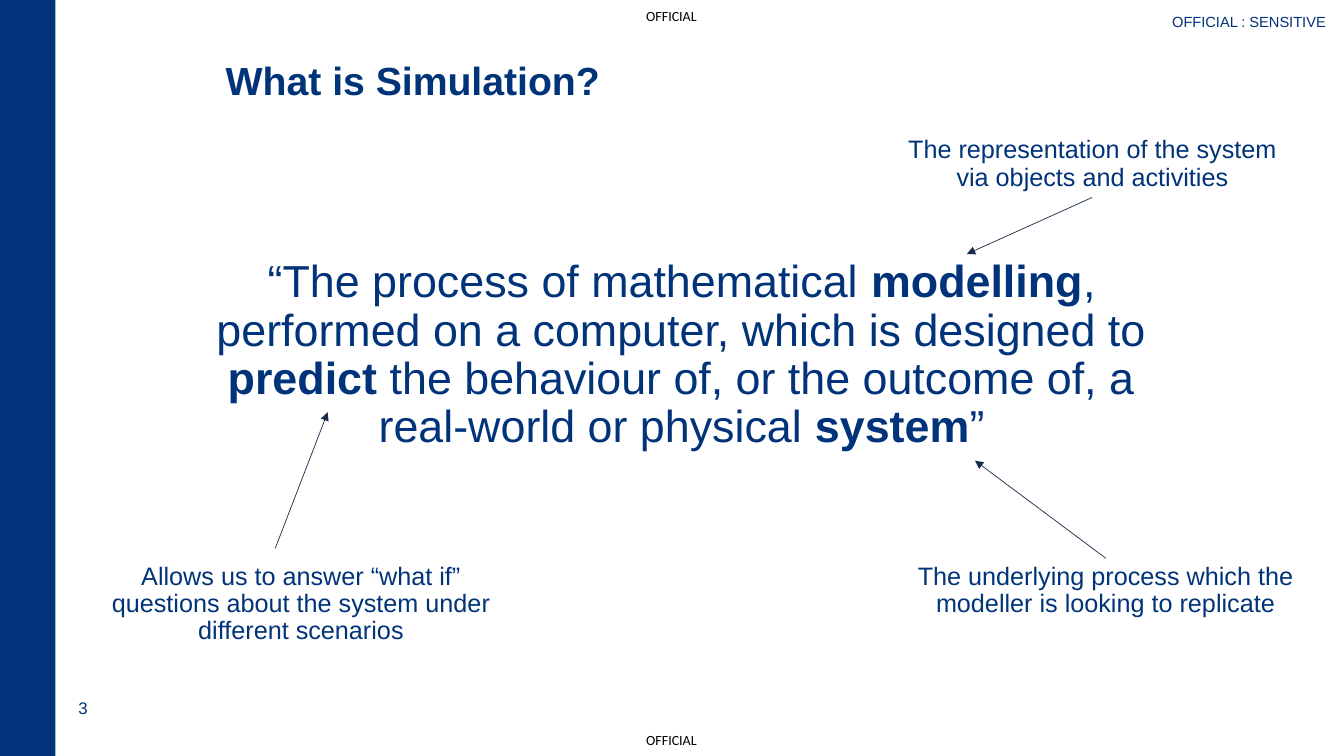
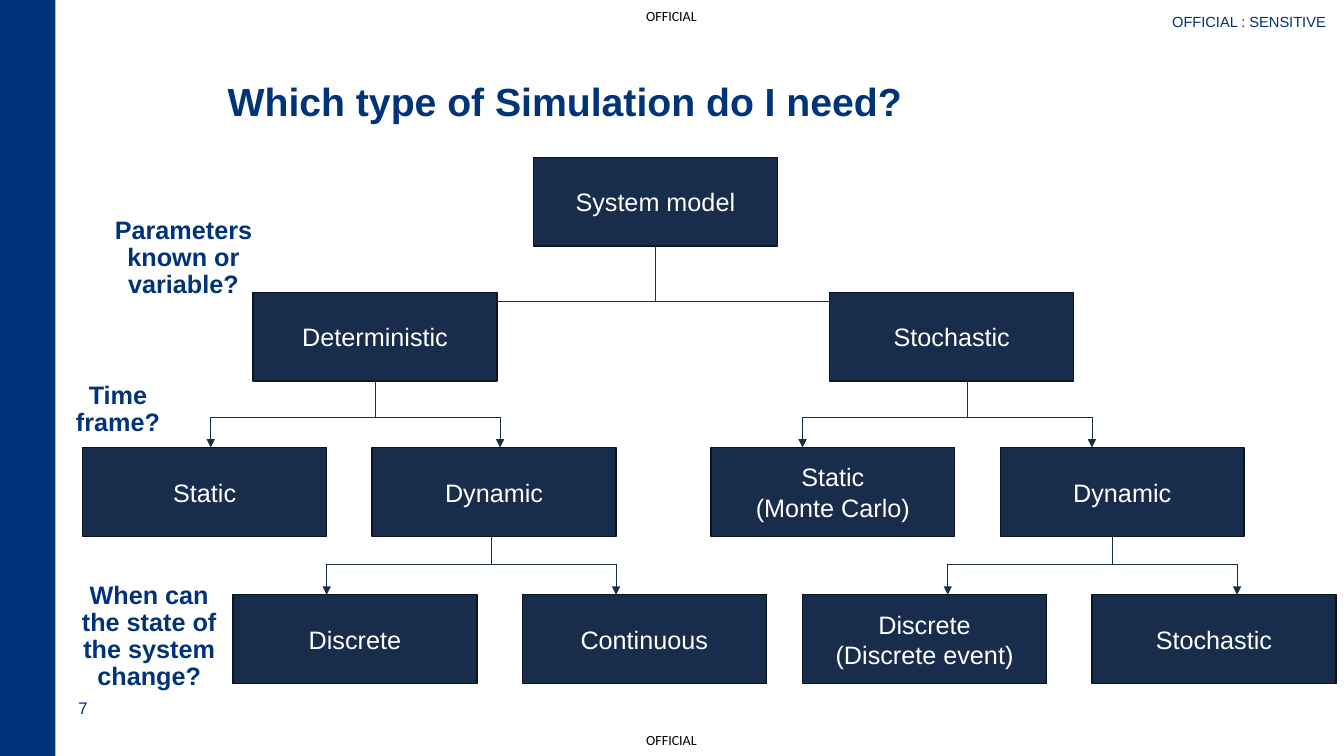
"""Build two slides that introduce simulation and the choice of simulation type."""
import pptx
import pptx.dml.color
import pptx.enum.shapes
import pptx.enum.text
import pptx.oxml
import pptx.oxml.ns
import pptx.util

Inches = pptx.util.Inches
Pt = pptx.util.Pt
RGBColor = pptx.dml.color.RGBColor
ALIGN = pptx.enum.text.PP_ALIGN
ANCHOR = pptx.enum.text.MSO_ANCHOR
SHAPE = pptx.enum.shapes.MSO_SHAPE
CONNECTOR = pptx.enum.shapes.MSO_CONNECTOR

BLUE = RGBColor(0x00, 0x33, 0x79)
TITLE_BLUE = RGBColor(0x00, 0x34, 0x79)
NAVY = RGBColor(0x18, 0x2D, 0x4C)
BOX_EDGE = RGBColor(0x0B, 0x14, 0x21)
WHITE = RGBColor(0xFF, 0xFF, 0xFF)
BLACK = RGBColor(0x00, 0x00, 0x00)

BOX_WIDTH, BOX_HEIGHT = 2.42, 0.88
LEVEL_TOPS = (1.56, 2.9, 4.44, 5.9)
BRANCH_SPAN = 2.87
STEM_OFFSET = 1.63
STEM_LENGTH = 0.36
ARROW_LENGTH = 0.3


def add_run(paragraph, text, size, color, bold=False, font="Arial"):
    run = paragraph.add_run()
    run.text = text
    run.font.name = font
    run.font.size = Pt(size)
    run.font.color.rgb = color
    run.font.bold = bold


def add_text(slide, place, runs, size, color=BLUE, align=ALIGN.LEFT,
             anchor=ANCHOR.TOP, font="Arial", spacing=None, before=None):
    shape = slide.shapes.add_textbox(*map(Inches, place))
    frame = shape.text_frame
    frame.word_wrap = True
    frame.vertical_anchor = anchor
    paragraph = frame.paragraphs[0]
    paragraph.alignment = align
    if spacing:
        paragraph.line_spacing = spacing
    if before:
        paragraph.space_before = Pt(before)
    for text, bold in runs:
        add_run(paragraph, text, size, color, bold, font)
    return frame


def add_centred(slide, place, runs, size=18):
    add_text(slide, place, runs, size, align=ALIGN.CENTER, spacing=0.9, before=10)


def add_marking(slide, top):
    frame = add_text(slide, (6.41, top, 0.53, 0.17), [("OFFICIAL", False)], 10,
                     BLACK, font="Calibri")
    frame.word_wrap = False
    frame.margin_left = frame.margin_right = 0
    frame.margin_top = frame.margin_bottom = 0


def add_rectangle(slide, place, fill):
    shape = slide.shapes.add_shape(SHAPE.RECTANGLE, *map(Inches, place))
    shape.shadow.inherit = False
    shape.fill.solid()
    shape.fill.fore_color.rgb = fill
    shape.line.fill.background()
    return shape


def add_slide(presentation, number, title, title_place):
    slide = presentation.slides.add_slide(presentation.slide_layouts[6])
    for top in (0.07, 7.26):
        add_marking(slide, top)
    add_rectangle(slide, (0, 0, 0.55, 7.5), BLUE)
    add_text(slide, (0.68, 6.87, 1.87, 0.3), [(number, False)], 12)
    add_text(slide, title_place, [(title, True)], 28, TITLE_BLUE,
             anchor=ANCHOR.BOTTOM, spacing=0.9)
    add_text(slide, (10.97, 0.08, 2.28, 0.24), [("OFFICIAL : SENSITIVE", False)],
             10.5, align=ALIGN.RIGHT)
    return slide


def add_line(slide, start, end, arrow=False):
    line = slide.shapes.add_connector(CONNECTOR.STRAIGHT, *map(Inches, start + end))
    line.line.color.rgb = NAVY
    line.line.width = Pt(0.5)
    if arrow:
        tail = pptx.oxml.parse_xml(
            f'<a:tailEnd {pptx.oxml.ns.nsdecls("a")} type="triangle"/>')
        line.line._get_or_add_ln().append(tail)
    effects = pptx.oxml.parse_xml(f'<a:effectLst {pptx.oxml.ns.nsdecls("a")}/>')
    line._element.spPr.append(effects)
    return line


def add_box(slide, level, left, labels):
    shape = add_rectangle(
        slide, (left, LEVEL_TOPS[level], BOX_WIDTH, BOX_HEIGHT), NAVY)
    shape.line.color.rgb = BOX_EDGE
    shape.line.width = Pt(1)
    frame = shape.text_frame
    frame.word_wrap = True
    frame.vertical_anchor = ANCHOR.MIDDLE
    for index, label in enumerate(labels):
        paragraph = frame.add_paragraph() if index else frame.paragraphs[0]
        paragraph.alignment = ALIGN.CENTER
        add_run(paragraph, label, 18, WHITE)
    return shape


def add_branch(slide, stem, bar, left, right, tip):
    """Draw a stem down to a bar with an arrow at each end and return the stem."""
    stem_line = add_line(slide, stem, (stem[0], bar))
    add_line(slide, (right, bar), (left, bar))
    for x in (left, right):
        add_line(slide, (x, bar), (x, tip), arrow=True)
    return stem_line


def add_level_branch(slide, level, left):
    tip = LEVEL_TOPS[level]
    bar = tip - ARROW_LENGTH
    stem = (left + STEM_OFFSET, bar - STEM_LENGTH)
    return add_branch(slide, stem, bar, left, left + BRANCH_SPAN, tip)


def build_definition(presentation):
    slide = add_slide(presentation, "3", "What is Simulation?", (2.14, 0.2, 7.45, 0.88))
    quote = [
        ("“The process of mathematical ", False),
        ("modelling", True),
        (", performed on a computer, which is designed to ", False),
        ("predict", True),
        (" the behaviour of, or the outcome of, a real-world or physical ", False),
        ("system", True),
        ("”", False),
    ]
    add_centred(slide, (2.02, 2.52, 9.48, 2.24), quote, 32)
    notes = [
        (8.77, 1.31, 0.65, "The representation of the system via objects and activities",
         (10.83, 1.96), (9.59, 2.52)),
        (8.9, 5.54, 0.65,
         "The underlying process which the modeller is looking to replicate",
         (10.97, 5.54), (9.67, 4.57)),
        (0.92, 5.54, 0.92,
         "Allows us to answer “what if” questions about the system under "
         "different scenarios",
         (2.73, 5.44), (3.25, 4.09)),
    ]
    for left, top, height, text, start, end in notes:
        add_centred(slide, (left, top, 4.13, height), [(text, False)])
        add_line(slide, start, end, arrow=True)


def build_decision_tree(presentation):
    slide = add_slide(presentation, "7", "Which type of Simulation do I need?",
                      (2.16, 0.41, 11.33, 0.88))
    system_model = add_box(slide, 0, 5.29, ["System model"])
    deterministic = add_box(slide, 1, 2.51, ["Deterministic"])
    add_box(slide, 1, 8.23, ["Stochastic"])
    pairs = [
        (2, 0.82, ["Static"], ["Dynamic"]),
        (3, 2.31, ["Discrete"], ["Continuous"]),
        (2, 7.05, ["Static", "(Monte Carlo)"], ["Dynamic"]),
        (3, 7.96, ["Discrete", "(Discrete event)"], ["Stochastic"]),
    ]
    for level, left, first, second in pairs:
        add_box(slide, level, left, first)
        add_box(slide, level, left + BRANCH_SPAN, second)

    root_stem = add_branch(slide, (6.5, 2.44), 2.99, 3.83, 9.33, 3.22)
    root_stem.begin_connect(system_model, 2)
    deterministic_stem = add_level_branch(slide, 2, 2.09)
    deterministic_stem.begin_connect(deterministic, 2)
    for level, left in ((2, 7.96), (3, 3.24), (3, 9.4)):
        add_level_branch(slide, level, left)

    questions = [
        (0.99, 2.11, 0.92, "Parameters known or variable?"),
        (0.34, 3.75, 0.65, "Time frame?"),
        (0.65, 5.73, 1.19, "When can the state of the system change?"),
    ]
    for left, top, height, text in questions:
        add_centred(slide, (left, top, 1.66, height), [(text, True)])


def main():
    presentation = pptx.Presentation()
    presentation.slide_width = Inches(13.33)
    presentation.slide_height = Inches(7.5)
    build_definition(presentation)
    build_decision_tree(presentation)
    presentation.save("out.pptx")


if __name__ == "__main__":
    main()
